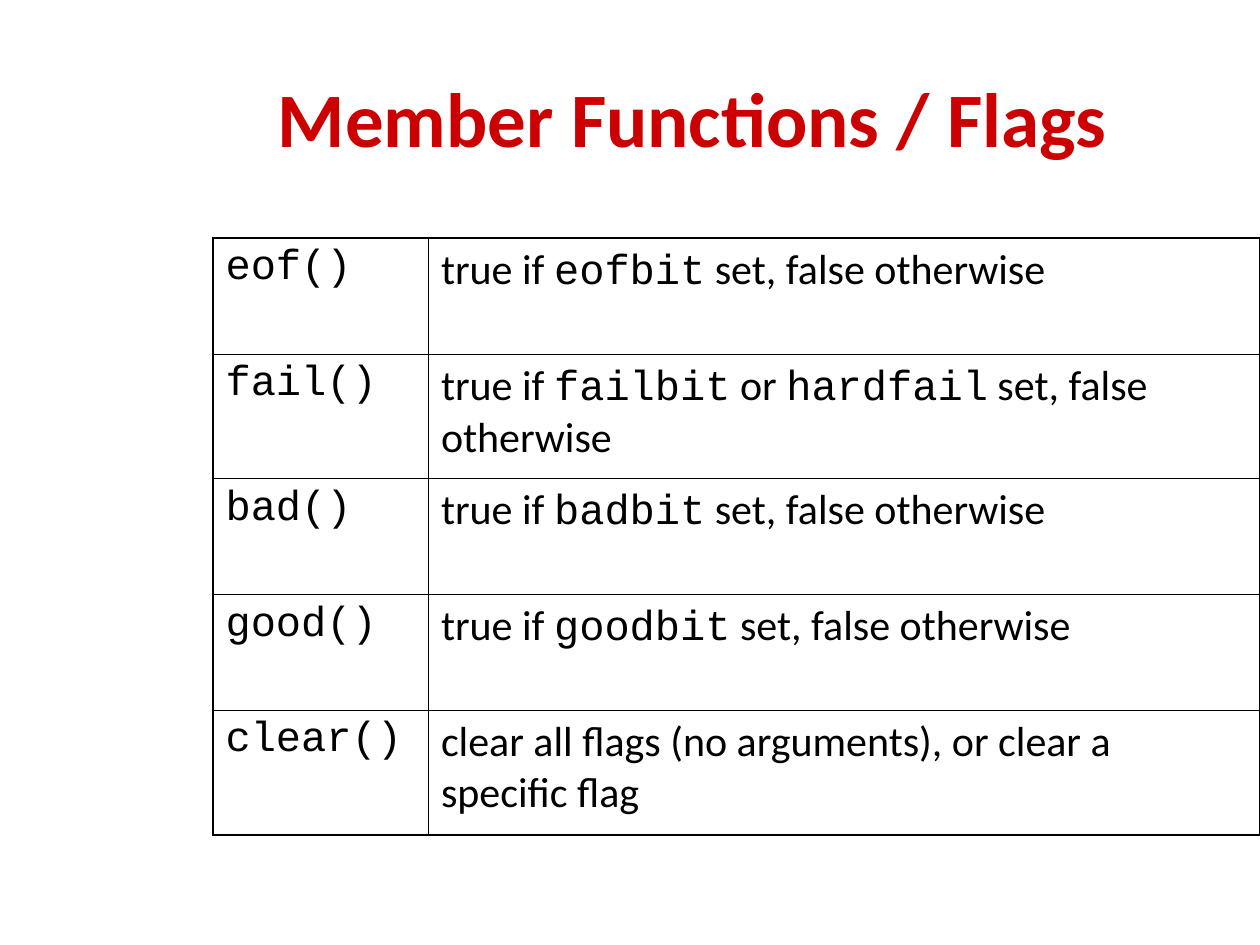
from lxml.etree import SubElement
from pptx import Presentation
from pptx.dml.color import RGBColor as Rgb
from pptx.enum.text import MSO_ANCHOR as Anchor, PP_ALIGN as Align
from pptx.oxml.ns import qn
from pptx.util import Inches, Pt

COLORS = {"title": "CC0000", "text": "000000", "border": "000000"}
BODY_FONT = "Calibri"
CODE_FONT = "Courier New"
COLUMN_WIDTHS = [1.71, 6.6]
ROW_HEIGHTS = [0.92, 0.99, 0.92, 0.92, 0.99]
OUTER_LINE, INNER_LINE = 1.08, 0.45
ROWS = [
    ("`eof()`", "true if `eofbit` set, false otherwise"),
    ("`fail()`", "true if `failbit` or `hardfail` set, false otherwise"),
    ("`bad()`", "true if `badbit` set, false otherwise"),
    ("`good()`", "true if `goodbit` set, false otherwise"),
    ("`clear()`", "clear all flags (no arguments), or clear a specific flag"),
]


def add_title(slide, text):
    """Place and format the title placeholder."""
    title = slide.shapes.title
    title.left, title.top = Inches(1), Inches(0.3)
    title.width, title.height = Inches(9), Inches(1.25)
    title.text_frame.text = text
    title.text_frame.vertical_anchor = Anchor.MIDDLE
    paragraph = title.text_frame.paragraphs[0]
    paragraph.alignment = Align.CENTER
    paragraph.font.name = BODY_FONT
    paragraph.font.size = Pt(44)
    paragraph.font.bold = True
    paragraph.font.color.rgb = Rgb.from_string(COLORS["title"])


def set_borders(cell, widths):
    """Draw the left, right, top and bottom borders of a cell."""
    properties = cell._tc.get_or_add_tcPr()
    for index, (side, width) in enumerate(zip("LRTB", widths)):
        line = SubElement(properties, qn(f"a:ln{side}"), w=str(int(Pt(width))))
        fill = SubElement(line, qn("a:solidFill"))
        SubElement(fill, qn("a:srgbClr"), val=COLORS["border"])
        properties.insert(index, line)


def fill_cell(cell, text):
    """Write text into a cell, with backquoted parts in the code font."""
    cell.fill.background()
    paragraph = cell.text_frame.paragraphs[0]
    parts = text.split("`")
    for index, part in enumerate(parts):
        if part:
            run = paragraph.add_run()
            run.text = part
            run.font.name = CODE_FONT if index % 2 else BODY_FONT
    paragraph.font.size = Pt(24)
    paragraph.font.color.rgb = Rgb.from_string(COLORS["text"])


def add_function_table(slide):
    """Add the table of member functions and their meanings."""
    row_count, column_count = len(ROWS), len(COLUMN_WIDTHS)
    frame = slide.shapes.add_table(
        row_count, column_count, Inches(1.69), Inches(1.89),
        Inches(sum(COLUMN_WIDTHS)), Inches(sum(ROW_HEIGHTS)))
    table = frame.table
    table.first_row = table.horz_banding = False
    for column, width in zip(table.columns, COLUMN_WIDTHS):
        column.width = Inches(width)
    for row, height in zip(table.rows, ROW_HEIGHTS):
        row.height = Inches(height)
    for row, texts in enumerate(ROWS):
        for column, text in enumerate(texts):
            cell = table.cell(row, column)
            fill_cell(cell, text)
            on_edge = (column == 0, column == column_count - 1,
                       row == 0, row == row_count - 1)
            set_borders(cell, [OUTER_LINE if edge else INNER_LINE for edge in on_edge])


def main():
    """Build and save the presentation."""
    presentation = Presentation()
    presentation.slide_width, presentation.slide_height = Inches(10), Inches(7.5)
    slide = presentation.slides.add_slide(presentation.slide_layouts[5])
    add_title(slide, "Member Functions / Flags")
    add_function_table(slide)
    presentation.save("out.pptx")


if __name__ == "__main__":
    main()
